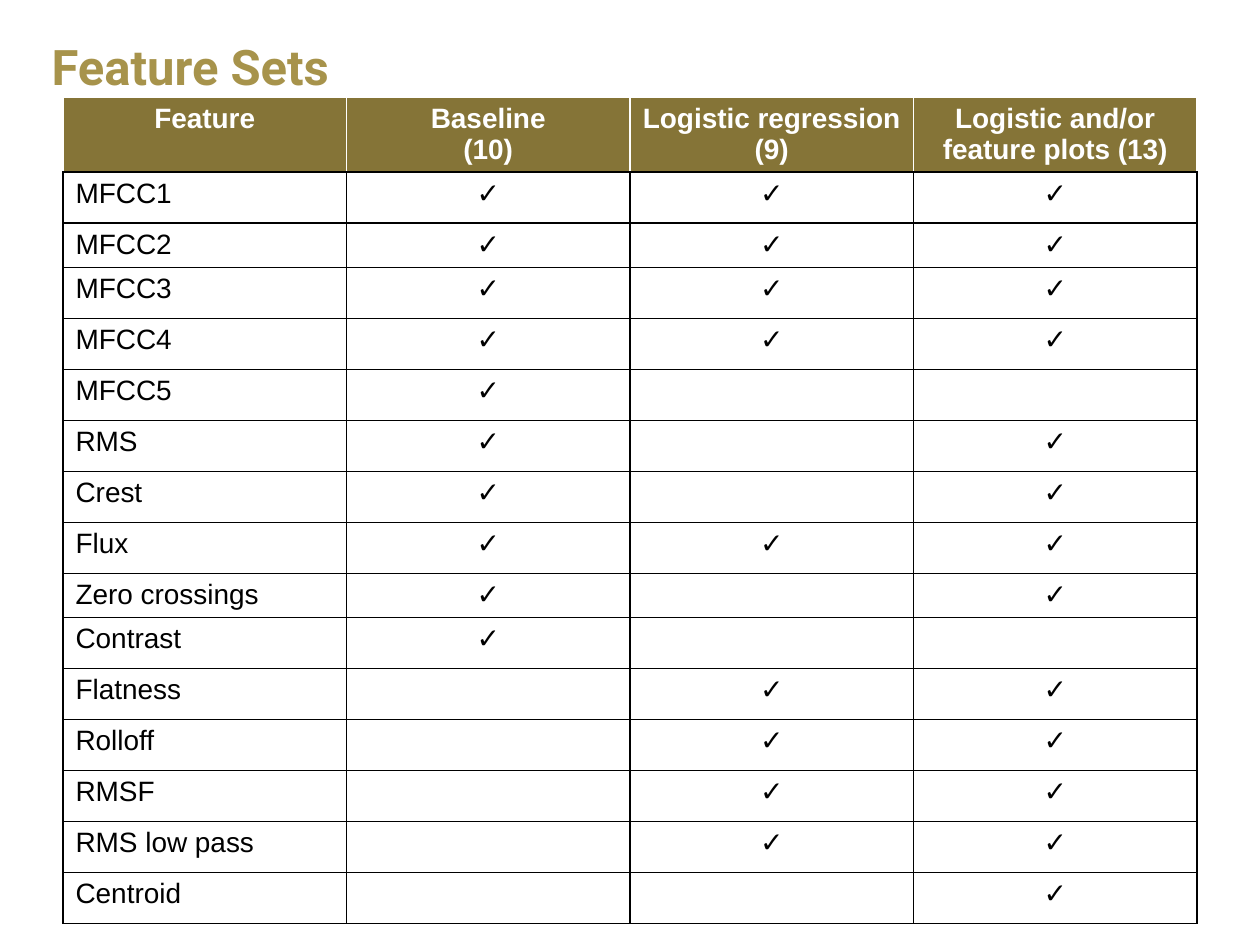
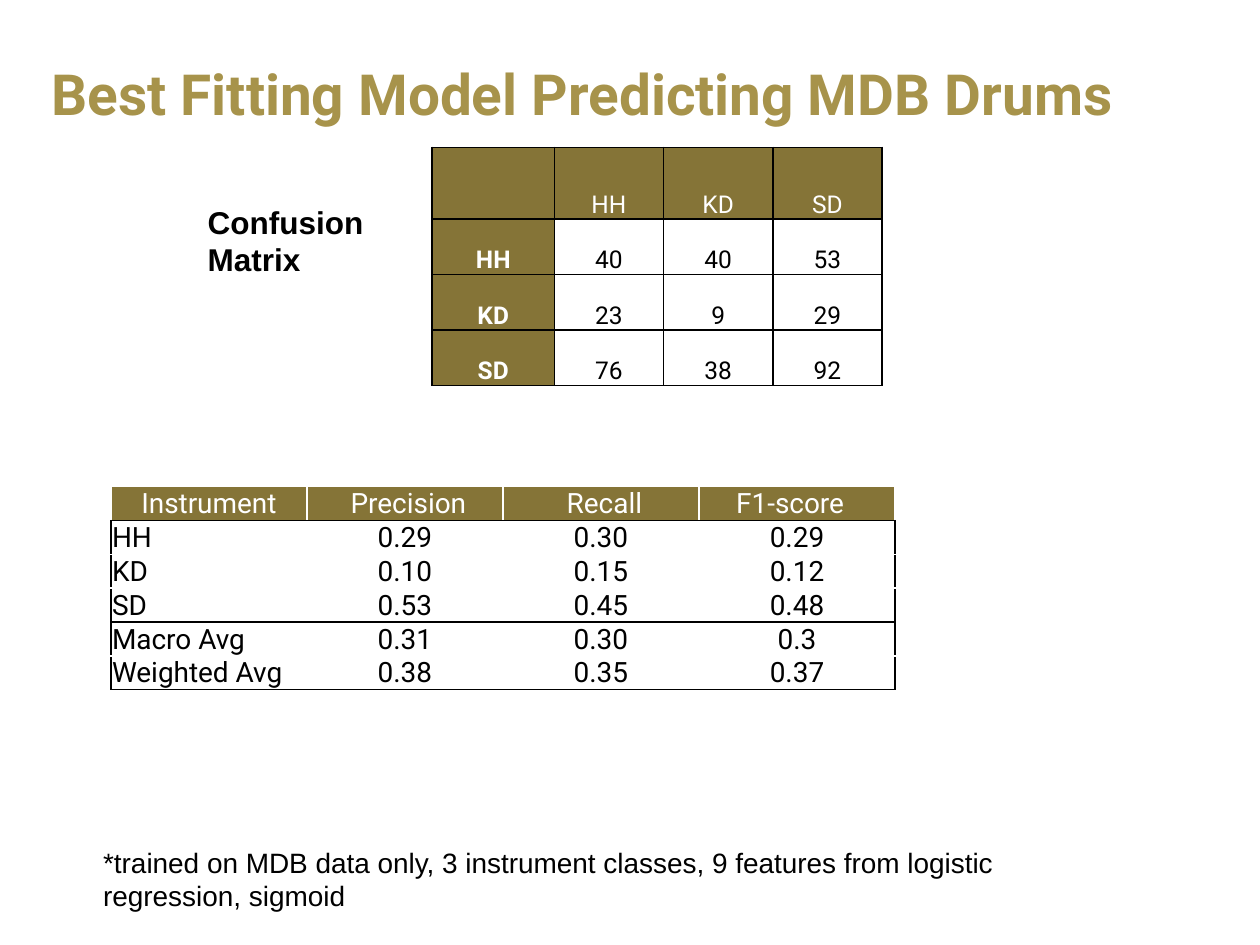
from dataclasses import dataclass
from typing import Callable

from lxml import etree
from pptx import Presentation
from pptx.dml.color import RGBColor
from pptx.enum.text import MSO_ANCHOR, MSO_AUTO_SIZE, PP_ALIGN
from pptx.oxml.ns import qn
from pptx.util import Inches, Pt

LEFT, CENTER = PP_ALIGN.LEFT, PP_ALIGN.CENTER
TOP, MIDDLE, BOTTOM = MSO_ANCHOR.TOP, MSO_ANCHOR.MIDDLE, MSO_ANCHOR.BOTTOM
FIXED, GROW = MSO_AUTO_SIZE.NONE, MSO_AUTO_SIZE.SHAPE_TO_FIT_TEXT

WIDE, HIGH = Inches(10), Inches(7.5)
INK = {"gold": "A7934B", "olive": "857437", "black": "000000", "white": "FFFFFF"}
SANS, ROBOTO = "Arial", "Roboto"
TICK = "✓"
SIDES = ("L", "R", "T", "B")


@dataclass(frozen=True)
class Box:
    """A place in percent of the slide's width and height."""
    left: float
    top: float
    width: float
    height: float


@dataclass(frozen=True)
class Font:
    face: str
    size: float
    ink: str = "black"
    bold: bool = False


@dataclass(frozen=True)
class Look:
    """How one table cell is drawn; edges are colours by side."""
    font: Font
    align: PP_ALIGN
    fill: str
    edges: dict[str, str]


@dataclass(frozen=True)
class Grid:
    """A table; cols and rows are in percent of the slide."""
    left: float
    top: float
    cols: list[float]
    rows: list[float]
    cells: list[list[str]]
    look: Callable[[int, int], Look]
    anchor: MSO_ANCHOR = TOP
    tight: bool = False


def across(share: float) -> int:
    return int(WIDE * share / 100)


def down(share: float) -> int:
    return int(HIGH * share / 100)


def place(shape, box: Box) -> None:
    shape.left, shape.top = across(box.left), down(box.top)
    shape.width, shape.height = across(box.width), down(box.height)


def style(frame, font: Font, align: PP_ALIGN = LEFT) -> None:
    for para in frame.paragraphs:
        para.alignment = align
        for run in para.runs:
            run.font.name, run.font.size = font.face, Pt(font.size)
            run.font.bold = font.bold
            run.font.color.rgb = RGBColor.from_string(INK[font.ink])


def start(deck, text: str, top: float, size: float):
    """Add a title-only slide with its title set."""
    slide = deck.slides.add_slide(deck.slide_layouts[5])
    title = slide.shapes.title
    place(title, Box(3.1, top, 93.8, 14.8))
    frame = title.text_frame
    frame.text = text
    frame.auto_size, frame.vertical_anchor = FIXED, MIDDLE
    frame.paragraphs[0].line_spacing = 0.9
    style(frame, Font(ROBOTO, size, "gold", True))
    return slide


def write(slide, text: str, box: Box, font: Font) -> None:
    shape = slide.shapes.add_textbox(0, 0, 0, 0)
    place(shape, box)
    frame = shape.text_frame
    frame.word_wrap, frame.auto_size = True, GROW
    frame.text = text
    style(frame, font)


def edge(cell, edges: dict[str, str]) -> None:
    """Put one-point lines on the cell, ahead of its fill."""
    props = cell._tc.get_or_add_tcPr()
    for spot, side in enumerate(SIDES):
        line = etree.Element(qn(f"a:ln{side}"), w=str(Pt(1)))
        solid = etree.SubElement(line, qn("a:solidFill"))
        etree.SubElement(solid, qn("a:srgbClr"), val=INK[edges[side]])
        props.insert(spot, line)


def pad(cell, text: str, tight: bool) -> None:
    if tight:
        cell.margin_left = cell.margin_right = cell.margin_top = Inches(0.01)
    if tight or not text:
        cell.margin_bottom = 0
    if not text:
        cell.margin_top = 0


def draw(slide, grid: Grid) -> None:
    shape = slide.shapes.add_table(
        len(grid.rows), len(grid.cols), across(grid.left), down(grid.top),
        across(sum(grid.cols)), down(sum(grid.rows)))
    table = shape.table
    table.horz_banding = False
    for col, share in zip(table.columns, grid.cols):
        col.width = across(share)
    for row, share in zip(table.rows, grid.rows):
        row.height = down(share)
    for r, line in enumerate(grid.cells):
        for c, text in enumerate(line):
            cell, look = table.cell(r, c), grid.look(r, c)
            cell.text = text
            cell.vertical_anchor = grid.anchor
            pad(cell, text, grid.tight)
            style(cell.text_frame, look.font, look.align)
            if look.fill:
                cell.fill.solid()
                cell.fill.fore_color.rgb = RGBColor.from_string(INK[look.fill])
            else:
                cell.fill.background()
            edge(cell, look.edges)


BLACK = dict.fromkeys(SIDES, "black")
HEAD = {**dict.fromkeys(SIDES, "white"), "B": "black"}


def set_look(r: int, c: int) -> Look:
    if r == 0:
        return Look(Font(SANS, 16, "white", True), CENTER, "olive", HEAD)
    return Look(Font(SANS, 16), CENTER if c else LEFT, "", BLACK)


def mix_look(r: int, c: int) -> Look:
    head = r == 0 or c == 0
    font = Font(ROBOTO, 14, "white" if head else "black", r > 0 and c == 0)
    return Look(font, CENTER, "olive" if head else "", BLACK)


def score_look(r: int, c: int) -> Look:
    """Frame the classes and the averages as two blocks."""
    if r == 0:
        return Look(Font(ROBOTO, 16, "white"), CENTER, "olive", HEAD)
    dark = {"L": c == 0, "R": c == 3, "T": r in (1, 4), "B": r in (3, 5)}
    edges = {side: "black" if on else "white" for side, on in dark.items()}
    return Look(Font(ROBOTO, 16), CENTER if c else LEFT, "", edges)


# Each feature with the sets that hold it: baseline, logistic, plots
FEATURES = {
    "MFCC1": "BLP", "MFCC2": "BLP", "MFCC3": "BLP", "MFCC4": "BLP",
    "MFCC5": "B", "RMS": "BP", "Crest": "BP", "Flux": "BLP",
    "Zero crossings": "BP", "Contrast": "B", "Flatness": "LP",
    "Rolloff": "LP", "RMSF": "LP", "RMS low pass": "LP", "Centroid": "P",
}
SHORT = ("MFCC2", "Zero crossings")
SETS = ["Feature", "Baseline\n(10)", "Logistic regression (9)",
        "Logistic and/or feature plots (13)"]
MIX = [
    ["", "HH", "KD", "SD"],
    ["HH", "40", "40", "53"],
    ["KD", "23", "9", "29"],
    ["SD", "76", "38", "92"],
]
SCORES = [
    ["Instrument", "  Precision ", "  Recall ", "F1-score  "],
    ["HH", "0.29", "0.30", "0.29"],
    ["KD", "0.10", "0.15", "0.12"],
    ["SD", "0.53", "0.45", "0.48"],
    ["Macro Avg", "0.31", "0.30", "0.3"],
    ["Weighted Avg", "0.38", "0.35", "0.37"],
]
NOTE = ("*trained on MDB data only, 3 instrument classes, "
        "9 features from logistic regression, sigmoid")


def add_sets(deck) -> None:
    slide = start(deck, "Feature Sets", 0, 28)
    cells = [SETS] + [[name] + [TICK if key in held else "" for key in "BLP"]
                      for name, held in FEATURES.items()]
    rows = [7.83] + [4.67 if name in SHORT else 5.4 for name in FEATURES]
    draw(slide, Grid(5, 10.3, [22.5] * 4, rows, cells, set_look))


def add_model(deck) -> None:
    slide = start(deck, "Best Fitting Model Predicting MDB Drums", 2.93, 32.4)
    draw(slide, Grid(8.8, 51.5, [15.56] * 4, [3.52] * 6, SCORES, score_look,
                     BOTTOM, True))
    write(slide, "Confusion\nMatrix", Box(15.5, 20.8, 33.9, 9.47),
          Font(SANS, 18, bold=True))
    draw(slide, Grid(34.3, 15.6, [9.7] + [8.67] * 3, [7.6] + [5.87] * 3, MIX,
                     mix_look, BOTTOM, True))
    write(slide, NOTE, Box(7.2, 88.8, 81.7, 8.53), Font(SANS, 16))


def main() -> None:
    deck = Presentation()
    deck.slide_width, deck.slide_height = WIDE, HIGH
    add_sets(deck)
    add_model(deck)
    deck.save("out.pptx")


if __name__ == "__main__":
    main()
